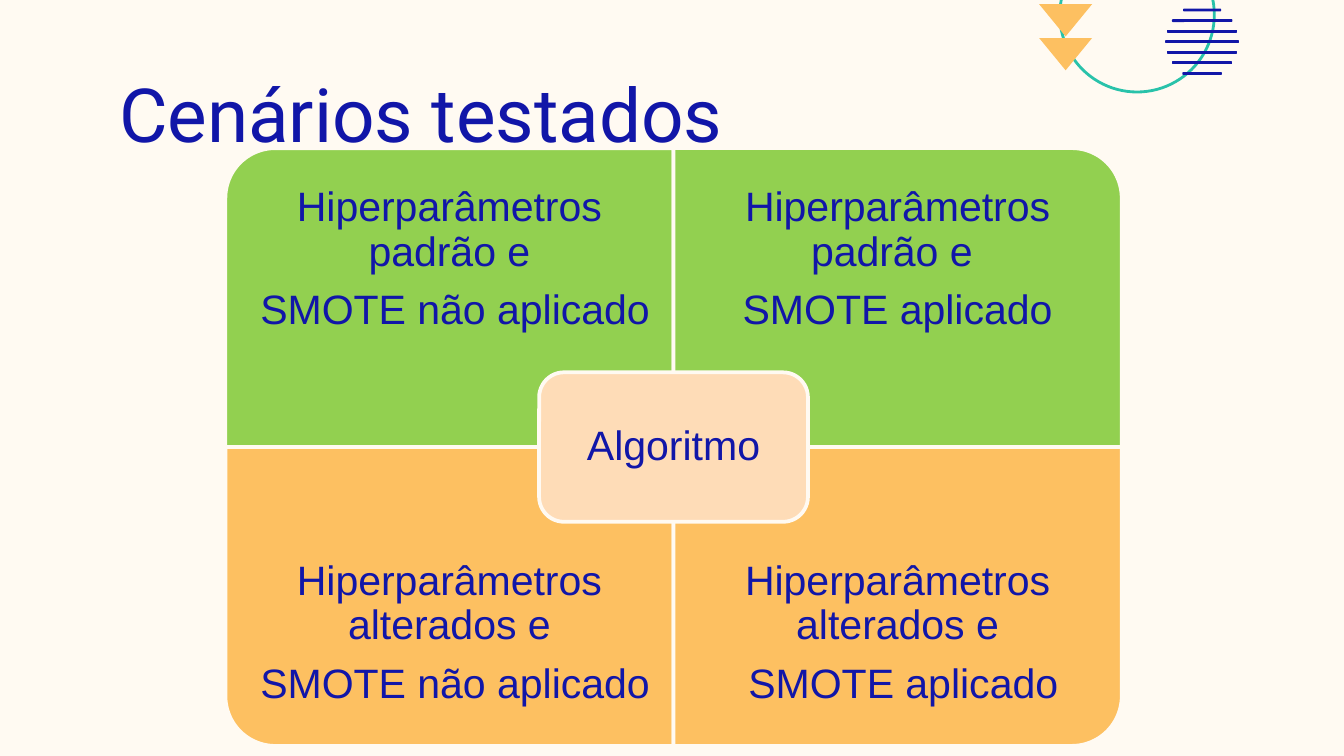
from pptx import Presentation
from pptx.dml.color import RGBColor
from pptx.enum import shapes, text
from pptx.util import Cm, Pt

CREAM = RGBColor(0xFF, 0xFA, 0xF2)
NAVY = RGBColor(0x11, 0x16, 0xA8)
TEAL = RGBColor(0x29, 0xC2, 0xAA)
GREEN = RGBColor(0x92, 0xD0, 0x50)
ORANGE = RGBColor(0xFD, 0xC0, 0x61)
PEACH = RGBColor(0xFE, 0xDC, 0xB7)

# Matrix geometry, in cm
MID_X, MID_Y = 12.73, 8.45
CELL_W, CELL_H = 8.47, 5.65
TEXT_H = CELL_H * 3 / 4

# One entry per quadrant: column, row, rotation, colour, paragraphs
QUADRANTS = [
    (0, 0, 270, GREEN, ["Hiperparâmetros padrão e", " SMOTE não aplicado"]),
    (1, 0, 0, GREEN, ["Hiperparâmetros padrão e ", "SMOTE aplicado"]),
    (0, 1, 180, ORANGE, ["Hiperparâmetros alterados e", " SMOTE não aplicado"]),
    (1, 1, 90, ORANGE, ["Hiperparâmetros alterados e", " SMOTE aplicado"]),
]

# Striped disc: centre, and side of the square each stripe crosses, in cm
DISC_X = 22.72
STRIPE_SIDES = [0.51, 0.81, 0.94, 0.99, 0.94, 0.81, 0.53]


def format_shape(sp, fill=None, line=None, width=2, rotation=0):
    sp.shadow.inherit = False
    sp.rotation = rotation
    if fill is None:
        sp.fill.background()
    else:
        sp.fill.solid()
        sp.fill.fore_color.rgb = fill
    if line is None:
        sp.line.fill.background()
    else:
        sp.line.color.rgb = line
        sp.line.width = Pt(width)


def add_shape(s, kind, x, y, w, h, **style):
    sp = s.shapes.add_shape(kind, Cm(x), Cm(y), Cm(w), Cm(h))
    format_shape(sp, **style)


def add_stripe(s, y, side):
    """Thin bar along the diagonal of a square, turned level."""
    x, y, d = DISC_X - side / 2, y - side / 2, 0.02
    corners = [(0, side - d), (side - d, 0), (side, d), (d, side)]
    points = [(Cm(x + dx), Cm(y + dy)) for dx, dy in corners]
    builder = s.shapes.build_freeform(*points[0])
    builder.add_line_segments(points[1:], close=True)
    format_shape(builder.convert_to_shape(), fill=NAVY, line=NAVY,
                 width=0.75, rotation=45)


def add_text(s, x, y, w, h, paragraphs, size=22, font="Arial", inset=0.42,
             align=text.PP_ALIGN.CENTER, spacing=0.9, after=7.7):
    tf = s.shapes.add_textbox(Cm(x), Cm(y), Cm(w), Cm(h)).text_frame
    tf.word_wrap = True
    tf.vertical_anchor = text.MSO_ANCHOR.MIDDLE
    tf.margin_left = tf.margin_right = Cm(inset)
    tf.margin_top = tf.margin_bottom = Cm(inset)
    for i, content in enumerate(paragraphs):
        p = tf.add_paragraph() if i else tf.paragraphs[0]
        p.alignment = align
        p.line_spacing = spacing
        p.space_after = Pt(after)
        r = p.add_run()
        r.text = content
        r.font.size = Pt(size)
        r.font.name = font
        r.font.color.rgb = NAVY


def add_decoration(s):
    add_shape(s, shapes.MSO_SHAPE.OVAL, 20.03, -1.18, 2.92, 2.92,
              line=TEAL, width=1.5)
    for i, side in enumerate(STRIPE_SIDES):
        add_stripe(s, 0.19 + 0.2 * i, side)
    for y in (0.72, 0.08):
        add_shape(s, shapes.MSO_SHAPE.FLOWCHART_MERGE, 19.64, y, 1, 0.61,
                  fill=ORANGE)


def add_quadrant(s, col, row, rotation, fill, paragraphs):
    x = MID_X + (col - 1) * CELL_W
    y = MID_Y + (row - 1) * CELL_H
    # A quarter turn swaps the sides around the same centre
    w, h = (CELL_H, CELL_W) if rotation % 180 else (CELL_W, CELL_H)
    add_shape(s, shapes.MSO_SHAPE.ROUND_1_RECTANGLE,
              x + (CELL_W - w) / 2, y + (CELL_H - h) / 2, w, h,
              fill=fill, line=CREAM, rotation=rotation)
    # The text keeps to the outer three quarters of the cell
    add_text(s, x, y + row * (CELL_H - TEXT_H), CELL_W, TEXT_H, paragraphs)


def add_center(s, label):
    w, h, edge = 5.08, CELL_H / 2, 0.14
    x, y = MID_X - w / 2, MID_Y - h / 2
    add_shape(s, shapes.MSO_SHAPE.ROUNDED_RECTANGLE, x, y, w, h,
              fill=PEACH, line=CREAM)
    add_text(s, x + edge, y + edge, w - 2 * edge, h - 2 * edge, [label],
             inset=0.23)


def main():
    prs = Presentation()
    prs.slide_width, prs.slide_height = Cm(25.4), Cm(14.29)
    s = prs.slides.add_slide(prs.slide_layouts[6])
    s.background.fill.solid()
    s.background.fill.fore_color.rgb = CREAM

    add_decoration(s)

    # Title
    add_text(s, 2, 1.47, 14.2, 1.32, ["Cenários testados"], size=40,
             font="Roboto", inset=0.25, align=text.PP_ALIGN.LEFT,
             spacing=1.0, after=0)

    # Matrix with its central label
    for quadrant in QUADRANTS:
        add_quadrant(s, *quadrant)
    add_center(s, "Algoritmo")

    prs.save("out.pptx")


if __name__ == "__main__":
    main()
